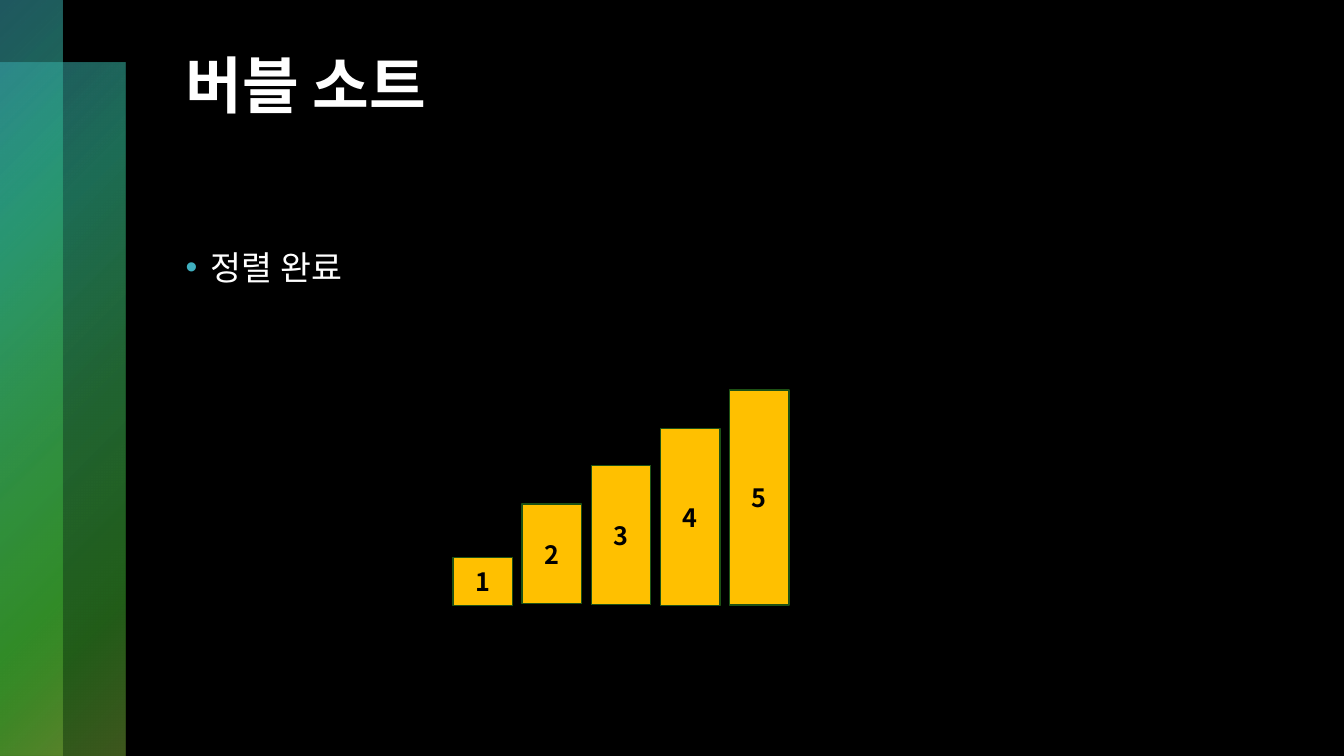
from lxml import etree
from pptx import Presentation
from pptx.dml.color import RGBColor
from pptx.enum.shapes import MSO_SHAPE as Preset
from pptx.enum.text import MSO_ANCHOR as Anchor, PP_ALIGN as Align
from pptx.oxml import parse_xml
from pptx.oxml.ns import nsdecls, qn
from pptx.util import Pt

FONT = "Noto Sans CJK KR"


def color(hex_string):
    return RGBColor.from_string(hex_string)


def add_run(paragraph, text, size, hex_string, bold=False):
    run = paragraph.add_run()
    run.text = text
    run.font.name = FONT
    run.font.size = Pt(size)
    run.font.bold = bold
    run.font.color.rgb = color(hex_string)
    etree.SubElement(run.font._element, qn("a:ea"), typeface=FONT)


presentation = Presentation()
presentation.slide_width = Pt(960)
presentation.slide_height = Pt(540)
slide = presentation.slides.add_slide(presentation.slide_layouts[6])
slide.background.fill.solid()
slide.background.fill.fore_color.rgb = color("000000")

# Two overlapping translucent bands on the left
gradient_stops = [(0, "3FAFBF", 50), (25, "30B58E", 60), (50, "3CB65F", 55),
                  (81, "43B931", 50), (99, "7AAF3A", 50)]
stops_xml = "".join(
    f'<a:gs pos="{position * 1000}"><a:srgbClr val="{hex_string}">'
    f'<a:alpha val="{alpha * 1000}"/></a:srgbClr></a:gs>'
    for position, hex_string, alpha in gradient_stops)
for top, width in [(45, 90), (0, 45)]:
    band = slide.shapes.add_shape(Preset.RECTANGLE, 0, Pt(top), Pt(width), Pt(540 - top))
    band.shadow.inherit = False
    band.line.fill.background()
    gradient = parse_xml(
        f'<a:gradFill {nsdecls("a")} rotWithShape="1"><a:gsLst>{stops_xml}</a:gsLst>'
        '<a:path path="circle"><a:fillToRect r="100000" b="100000"/></a:path></a:gradFill>')
    band._element.spPr.find(qn("a:prstGeom")).addnext(gradient)

# Title
title = slide.shapes.add_textbox(Pt(125.5), Pt(36), Pt(746.5), Pt(122.5))
title.text_frame.word_wrap = True
paragraph = title.text_frame.paragraphs[0]
paragraph.line_spacing = 0.9
add_run(paragraph, "버블 소트", 44, "FFFFFF", bold=True)

# Bulleted text
body = slide.shapes.add_textbox(Pt(125.5), Pt(170), Pt(746.5), Pt(309))
body.text_frame.word_wrap = True
paragraph = body.text_frame.paragraphs[0]
paragraph.line_spacing = 1.1
paragraph.space_before = Pt(12)
properties = paragraph._p.get_or_add_pPr()
properties.set("marL", str(Pt(18)))
properties.set("indent", str(Pt(-18)))
bullet_color = etree.SubElement(properties, qn("a:buClr"))
etree.SubElement(bullet_color, qn("a:srgbClr"), val="3FAFBF")
etree.SubElement(properties, qn("a:buFont"), typeface="Arial")
etree.SubElement(properties, qn("a:buChar"), char="•")
add_run(paragraph, "정렬 완료", 24, "FFFFFF")

# Sorted bars: top and height, from 1 to 5
bars = [(398, 34.5), (360, 71.3), (332.5, 99.5), (306, 126.5), (278.7, 153.5)]
for index, (top, height) in enumerate(bars):
    bar = slide.shapes.add_shape(
        Preset.RECTANGLE, Pt(323.5 + 49.4 * index), Pt(top), Pt(42.5), Pt(height))
    bar.shadow.inherit = False
    bar.fill.solid()
    bar.fill.fore_color.rgb = color("FFC000")
    bar.line.color.rgb = color("1D5115")
    bar.line.width = Pt(1)
    bar.text_frame.vertical_anchor = Anchor.MIDDLE
    paragraph = bar.text_frame.paragraphs[0]
    paragraph.alignment = Align.CENTER
    add_run(paragraph, str(index + 1), 18, "000000", bold=True)

presentation.save("out.pptx")
